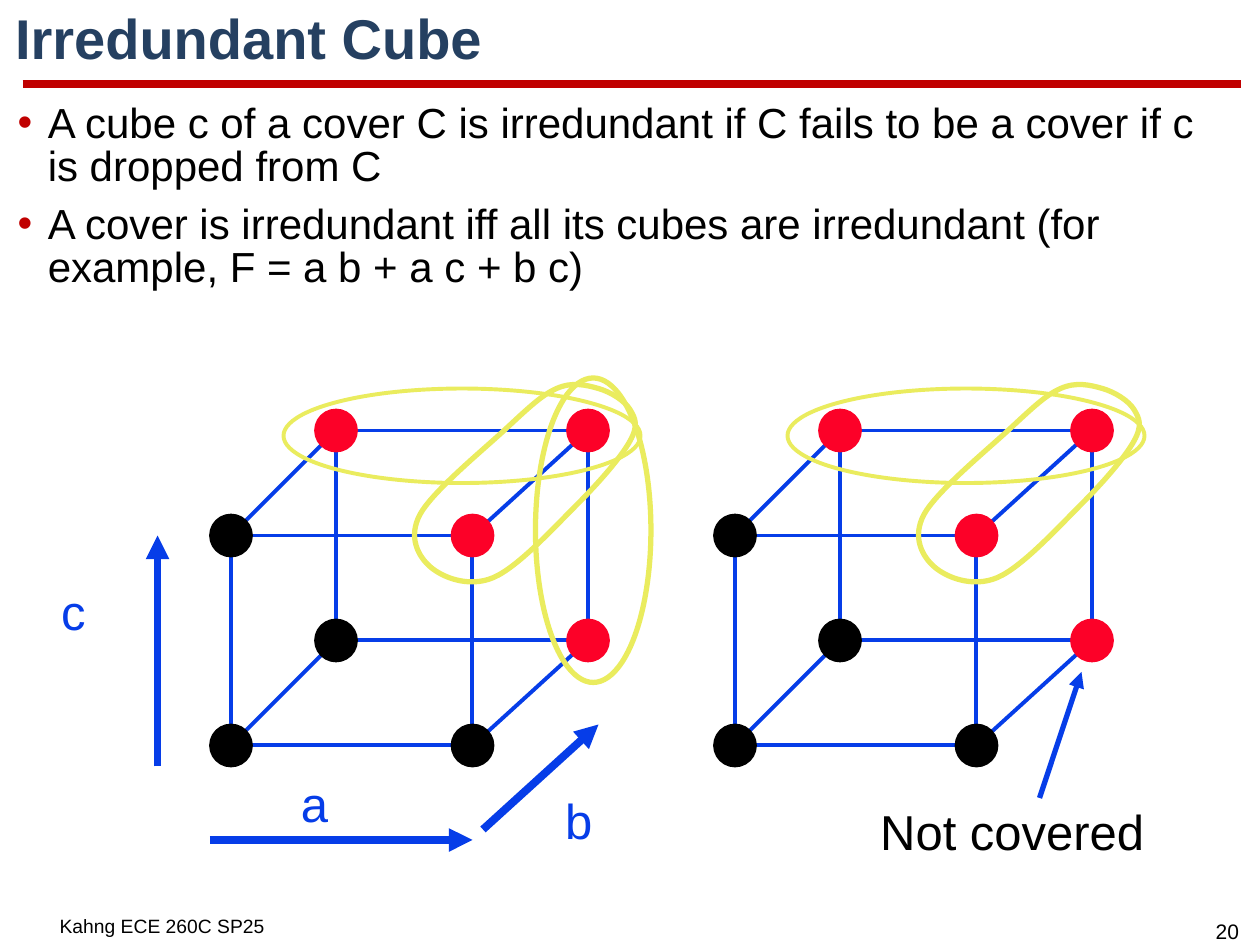
from pptx import Presentation
from pptx import util as u
from pptx.dml.color import RGBColor
from pptx.enum import shapes, text
from pptx.oxml.ns import qn
from lxml import etree

Pt = u.Pt

# Theme
THEME = {
    "font": "Arial", "rule": "C00000", "title": "254061", "ink": "000000",
    "blue": "063DE8", "on": "FC0128", "off": "000000", "loop": "EAEC5E",
    "title_size": 32, "body_size": 24, "label_size": 28, "num_size": 12, "foot_size": 11,
    "thin": 2.25, "mid": 3, "thick": 4.5,
}

# Content
TITLE = ["Irredundant Cube"]
BULLETS = [
    "A cube c of a cover C is irredundant if C fails to be a cover if c is dropped from C",
    "A cover is irredundant iff all its cubes are irredundant (for example, F = a b + a c + b c)",
]
# Label: text, left, top, width, colour
LABELS = [
    ("c", 30, 330, 36, "blue"),
    ("b", 318, 449.5, 36, "blue"),
    ("a", 167, 440, 36, "blue"),
    ("Not covered", 498, 456, 192, "ink"),
]
# Arrow: from, to, weight
ARROWS = [
    ((120, 480), (270, 480), "thick"),
    ((276, 474), (342, 414), "thick"),
    ((90, 438), (90, 306), "thick"),
    ((594, 456), (618, 384), "mid"),
]
# Cube faces share one height; each is left, top, width
FACE_H = 120
FRONT, BACK = (132, 306, 138), (192, 246, 144)
RADIUS = 12
# Minterms as (a, c) corners of each face, covered by the function
FRONT_ON = {(1, 1)}
BACK_ON = {(0, 1), (1, 1), (1, 0)}
CUBE_AC = (162, 222, 204, 54)
CUBE_AB = (306, 216, 66, 174)
CUBE_BC = [(246, 324), (282, 330), (330, 288), (360, 252), (360, 234),
           (342, 222), (318, 222), (288, 246), (240, 294)]
CUBE_SHIFTS = [(0, True), (288, False)]  # x offset, whether cube ab is kept


def rgb(key):
    return RGBColor.from_string(THEME[key])


def put(obj, fmt):
    for name, value in fmt.items():
        setattr(obj, name, value)


def add_text(s, paras, box, size, color, inset=(7.2, 3.6), bold=False,
             anchor=text.MSO_ANCHOR.TOP, para=None):
    tf = s.shapes.add_textbox(*map(Pt, box)).text_frame
    x, y = map(Pt, inset)
    put(tf, {"word_wrap": True, "vertical_anchor": anchor, "margin_left": x,
             "margin_right": x, "margin_top": y, "margin_bottom": y})
    for i, line in enumerate(paras):
        p = tf.paragraphs[0] if i == 0 else tf.add_paragraph()
        put(p, para or {})
        r = p.add_run()
        r.text = line
        put(r.font, {"name": THEME["font"], "size": Pt(THEME[size]), "bold": bold})
        r.font.color.rgb = rgb(color)
    return tf


def add_bullet(p):
    pPr = p._p.get_or_add_pPr()
    pPr.set("marL", str(Pt(18.7)))
    pPr.set("indent", str(Pt(-17.3)))
    clr = etree.SubElement(pPr, qn("a:buClr"))
    etree.SubElement(clr, qn("a:srgbClr"), val=THEME["rule"])
    etree.SubElement(pPr, qn("a:buFont"), typeface=THEME["font"])
    etree.SubElement(pPr, qn("a:buChar"), char="•")


def style(sp, line, width, fill=None):
    sp.shadow.inherit = False
    if fill:
        sp.fill.solid()
        sp.fill.fore_color.rgb = rgb(fill)
    else:
        sp.fill.background()
    sp.line.color.rgb = rgb(line)
    sp.line.width = Pt(width)


def add_shape(s, kind, box, line, width, fill=None):
    style(s.shapes.add_shape(kind, *map(Pt, box)), line, width, fill)


def add_line(s, start, end, color, weight, arrow=False):
    cn = s.shapes.add_connector(shapes.MSO_CONNECTOR.STRAIGHT, *map(Pt, start + end))
    cn.line.color.rgb = rgb(color)
    cn.line.width = Pt(THEME[weight])
    if arrow:
        etree.SubElement(cn.line._get_or_add_ln(), qn("a:tailEnd"), type="triangle")
    etree.SubElement(cn._element.spPr, qn("a:effectLst"))


def add_smooth_loop(s, knots):
    """Closed Catmull-Rom curve through the knots, as Bezier segments."""
    n = len(knots)
    points = []
    for i in range(n):
        a, b, c, d = [knots[(i + k) % n] for k in (-1, 0, 1, 2)]
        points += [tuple(q + (r - p) / 6 for p, q, r in zip(a, b, c)),
                   tuple(q - (r - p) / 6 for p, q, r in zip(b, c, d)), c]
    fb = s.shapes.build_freeform(*map(Pt, knots[0]))
    fb.add_line_segments([tuple(map(Pt, pt)) for pt in points], close=True)
    sp = fb.convert_to_shape()
    # Each three line points become one Bezier segment
    lines = list(sp._element.iter(qn("a:lnTo")))
    for trio in zip(*[iter(lines)] * 3):
        curve = etree.Element(qn("a:cubicBezTo"))
        trio[0].addprevious(curve)
        for ln in trio:
            curve.append(ln[0])
            ln.getparent().remove(ln)
    style(sp, "loop", THEME["mid"])


def corner(face, a, c):
    x, y, w = face
    return x + a * w, y + (1 - c) * FACE_H


def draw_cube(s, dx, keep_ab):
    front, back = [(x + dx, y, w) for x, y, w in (FRONT, BACK)]
    corners = [(a, c) for a in (0, 1) for c in (0, 1)]
    oval = shapes.MSO_SHAPE.OVAL
    # Edges
    for face in (front, back):
        add_shape(s, shapes.MSO_SHAPE.RECTANGLE, face + (FACE_H,), "blue", THEME["thin"])
    for ac in corners:
        add_line(s, corner(front, *ac), corner(back, *ac), "blue", "thin")
    # Minterms
    for face, on in ((front, FRONT_ON), (back, BACK_ON)):
        for ac in corners:
            x, y = corner(face, *ac)
            color = "on" if ac in on else "off"
            add_shape(s, oval, (x - RADIUS, y - RADIUS, 2 * RADIUS, 2 * RADIUS),
                      color, 1, color)
    # Cover loops
    x, y, w, h = CUBE_AC
    add_shape(s, oval, (x + dx, y, w, h), "loop", THEME["thin"])
    add_smooth_loop(s, [(x + dx, y) for x, y in CUBE_BC])
    if keep_ab:
        add_shape(s, oval, CUBE_AB, "loop", THEME["mid"])


def main():
    prs = Presentation()
    put(prs, {"slide_width": Pt(720), "slide_height": Pt(540)})
    s = prs.slides.add_slide(prs.slide_layouts[6])

    # Rule, page number, body and title
    add_line(s, (13, 48), (709, 48), "rule", "thick")
    add_text(s, ["20"], (683.7, 521.5, 35.3, 21.5), "num_size", "ink",
             para={"alignment": text.PP_ALIGN.CENTER})
    body = add_text(s, BULLETS, (1.5, 56.2, 708, 448), "body_size", "ink",
                    para={"line_spacing": 0.85, "space_before": Pt(8.4)})
    for p in body.paragraphs:
        add_bullet(p)
    add_text(s, TITLE, (1.6, 6, 715, 35.5), "title_size", "title", bold=True,
             anchor=text.MSO_ANCHOR.MIDDLE, para={"line_spacing": 0.9})

    # Cubes, arrows and labels
    for dx, keep_ab in CUBE_SHIFTS:
        draw_cube(s, dx, keep_ab)
    for start, end, weight in ARROWS:
        add_line(s, start, end, "blue", weight, arrow=True)
    for label, x, y, w, color in LABELS:
        add_text(s, [label], (x, y, w, 37.5), "label_size", color, inset=(5, 2.2))

    # Footer
    add_text(s, ["Kahng ECE 260C SP25"], (27, 519, 135, 19.5), "foot_size", "ink")
    prs.save("out.pptx")


if __name__ == "__main__":
    main()
